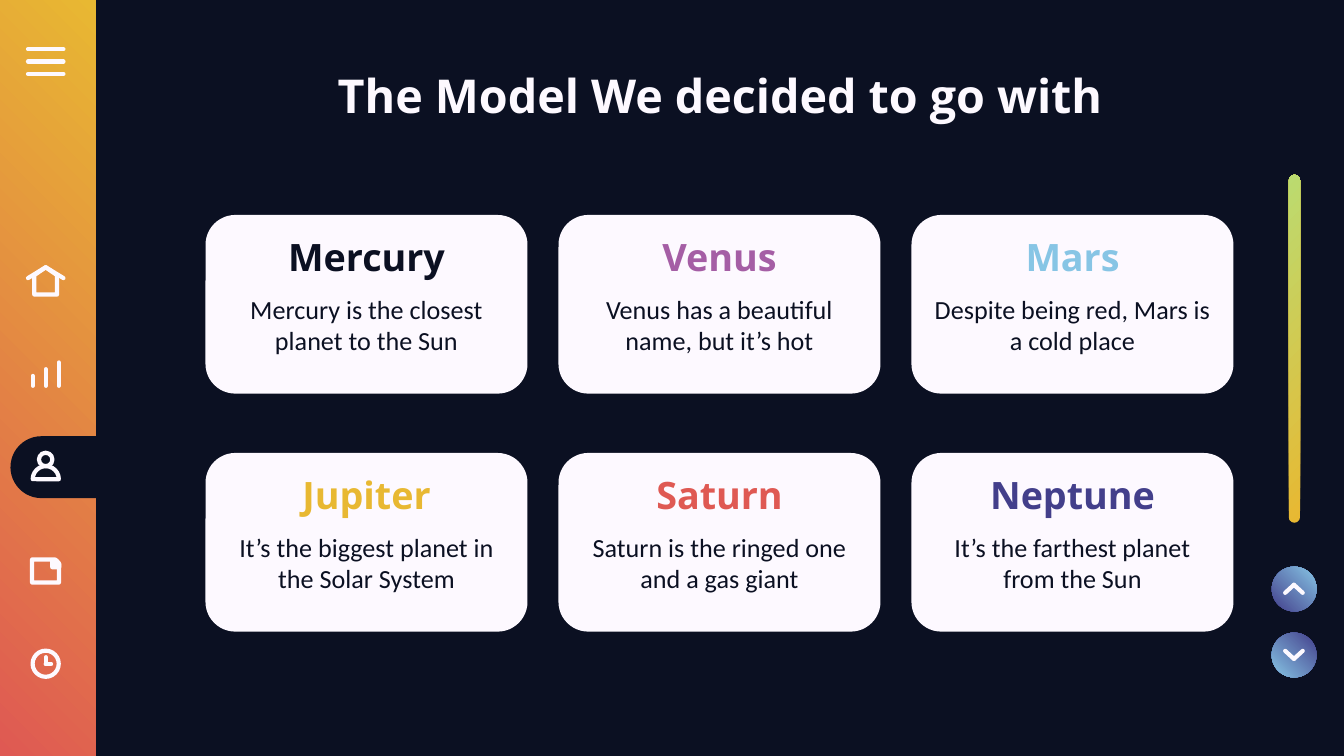
import pptx
import pptx.util
import pptx.dml.color
import pptx.enum.shapes
import pptx.enum.text
import pptx.oxml
import pptx.oxml.ns

Pt = pptx.util.Pt
SHAPE = pptx.enum.shapes.MSO_SHAPE
ANCHOR = pptx.enum.text.MSO_ANCHOR

COLORS = {
    "night": "0B1022", "snow": "FDF9FF", "red": "DF5953", "yellow": "E8B832",
    "green": "BBDB70", "purple": "A55EA5", "sky": "87C5E5", "indigo": "433F8B",
}
HEADING = {"name": "Open Sans", "bold": True}
BODY = {"name": "Calibri", "bold": False, "size": Pt(14)}
CARDS = [
    ("Mercury", "night", "Mercury is the closest planet to the Sun"),
    ("Venus", "purple", "Venus has a beautiful name, but it’s hot"),
    ("Mars", "sky", "Despite being red, Mars is a cold place"),
    ("Jupiter", "yellow", "It’s the biggest planet in the Solar System"),
    ("Saturn", "red", "Saturn is the ringed one and a gas giant"),
    ("Neptune", "indigo", "It’s the farthest planet from the Sun"),
]


def rgb(color):
    return pptx.dml.color.RGBColor.from_string(COLORS[color])


class SlideBuilder:
    def __init__(self, page):
        self.page = page
        self.shapes = page.shapes
        page.background.fill.solid()
        page.background.fill.fore_color.rgb = rgb("night")

    def group(self):
        self.shapes = self.page.shapes.add_group_shape().shapes

    def ungroup(self):
        self.shapes = self.page.shapes

    def stroke(self, item):
        item.line.color.rgb = rgb("snow")
        item.line.width = Pt(2.25)
        outline = item._element.spPr.find(pptx.oxml.ns.qn("a:ln"))
        outline.set("cap", "rnd")
        outline.append(pptx.oxml.parse_xml("<a:round %s/>" % pptx.oxml.ns.nsdecls("a")))

    def paint(self, item, fill, outlined):
        item.shadow.inherit = False
        if isinstance(fill, tuple):
            item.fill.gradient()
            item.fill.gradient_angle = 45
            for stop, color in zip(item.fill.gradient_stops, fill):
                stop.color.rgb = rgb(color)
        elif fill:
            item.fill.solid()
            item.fill.fore_color.rgb = rgb(fill)
        else:
            item.fill.background()
        if outlined:
            self.stroke(item)
        else:
            item.line.fill.background()

    def shape(self, kind, frame, fill=None, outlined=False, rotation=0, adjustments=()):
        item = self.shapes.add_shape(kind, *map(Pt, frame))
        item.rotation = rotation
        for index, value in enumerate(adjustments):
            item.adjustments[index] = value
        self.paint(item, fill, outlined)

    def outline(self, points, fill=None):
        corners = [(Pt(x), Pt(y)) for x, y in points]
        builder = self.shapes.build_freeform(*corners[0])
        builder.add_line_segments(corners[1:], close=True)
        self.paint(builder.convert_to_shape(), fill, True)

    def line(self, *ends):
        item = self.shapes.add_connector(
            pptx.enum.shapes.MSO_CONNECTOR.STRAIGHT, *map(Pt, ends))
        self.stroke(item)
        item._element.spPr.append(
            pptx.oxml.parse_xml("<a:effectLst %s/>" % pptx.oxml.ns.nsdecls("a")))

    def chevron(self, center, half_width, tip, base):
        for side in (-half_width, half_width):
            self.line(center, tip, center + side, base)

    def set_text(self, box, text, style, color, anchor=ANCHOR.TOP):
        frame = box.text_frame
        layout = {"word_wrap": True, "vertical_anchor": anchor,
                  "auto_size": pptx.enum.text.MSO_AUTO_SIZE.NONE}
        layout.update({"margin_" + side: Pt(7.2)
                       for side in ("left", "top", "right", "bottom")})
        for name, value in layout.items():
            setattr(frame, name, value)
        para = frame.paragraphs[0]
        para.alignment = pptx.enum.text.PP_ALIGN.CENTER
        span = para.add_run()
        span.text = text
        for name, value in style.items():
            setattr(span.font, name, value)
        span.font.color.rgb = rgb(color)

    def title(self, text, frame):
        box = self.page.shapes.title
        for name, value in zip(("left", "top", "width", "height"), frame):
            setattr(box, name, Pt(value))
        self.set_text(box, text, {**HEADING, "size": Pt(25)}, "snow")

    def text(self, frame, *content):
        self.set_text(self.shapes.add_textbox(*map(Pt, frame)), *content)

    def card(self, left, top, name, color, description):
        self.shape(SHAPE.ROUNDED_RECTANGLE, (left, top, 172.5, 95.7), "snow")
        self.text((left + 4.8, top + 5.8, 163, 33), name,
                  {**HEADING, "size": Pt(20.2)}, color, ANCHOR.MIDDLE)
        self.text((left + 4.8, top + 34.6, 163, 50.4), description, BODY, "night")


def draw_sidebar(builder):
    builder.shape(SHAPE.RECTANGLE, (0, 0, 51.3, 405), ("red", "yellow"))
    builder.shape(SHAPE.ROUND_2_SAME_RECTANGLE, (14.7, 224.6, 33.2, 51.3), "night",
                  rotation=270, adjustments=(0.5, 0))

    builder.group()
    for row in range(3):
        builder.line(15, 26.4 + 6.6 * row, 34, 26.4 + 6.6 * row)

    builder.group()
    builder.chevron(24.5, 9.5, 143.2, 149)
    builder.outline([(18.4, 147.4), (18.4, 157.8), (30.6, 157.8),
                     (30.6, 147.4), (24.5, 143.2)])

    builder.group()
    for column in range(3):
        x = 17.5 + 7 * column
        builder.line(x, 201.4 - 3.6 * column, x, 206.7)

    builder.group()
    builder.shape(SHAPE.OVAL, (20.9, 242.6, 7.2, 7.2), outlined=True)
    builder.shape(SHAPE.PIE, (17.5, 249.8, 14, 14), outlined=True,
                  rotation=90, adjustments=(54.33, 162))

    builder.group()
    builder.shape(SHAPE.SNIP_1_RECTANGLE, (17.2, 299.7, 14.4, 12.4), outlined=True)
    builder.outline([(28, 300.2), (30.2, 300.2), (31.7, 302.2),
                     (31.7, 303.9), (28, 303.9)], "snow")

    builder.group()
    builder.shape(SHAPE.OVAL, (17.5, 348.6, 14, 14), outlined=True)
    builder.line(24.5, 352.1, 24.5, 355.7)
    builder.line(27.4, 355.7, 24.5, 355.7)
    builder.ungroup()


def draw_scrollbar(builder):
    builder.shape(SHAPE.ROUNDED_RECTANGLE, (600.2, 183.8, 186.5, 6), ("yellow", "green"),
                  rotation=270, adjustments=(0.5,))
    for top, rotation, tip, base in ((303.6, 0, 313.3, 317.6), (338.9, 180, 353, 348.7)):
        builder.shape(SHAPE.OVAL, (681.3, top, 24, 24), ("indigo", "sky"),
                      rotation=rotation)
        builder.group()
        builder.chevron(693.2, 4.7, tip, base)
        builder.ungroup()


def main():
    deck = pptx.Presentation()
    deck.slide_width, deck.slide_height = Pt(720), Pt(405)
    builder = SlideBuilder(deck.slides.add_slide(deck.slide_layouts[5]))
    builder.title("The Model We decided to go with", (51.3, 28.8, 668.7, 45.4))
    draw_sidebar(builder)
    for index, content in enumerate(CARDS):
        row, column = divmod(index, 3)
        builder.card(110.1 + 189.1 * column, 115.2 + 127.5 * row, *content)
    draw_scrollbar(builder)
    deck.save("out.pptx")


if __name__ == "__main__":
    main()
